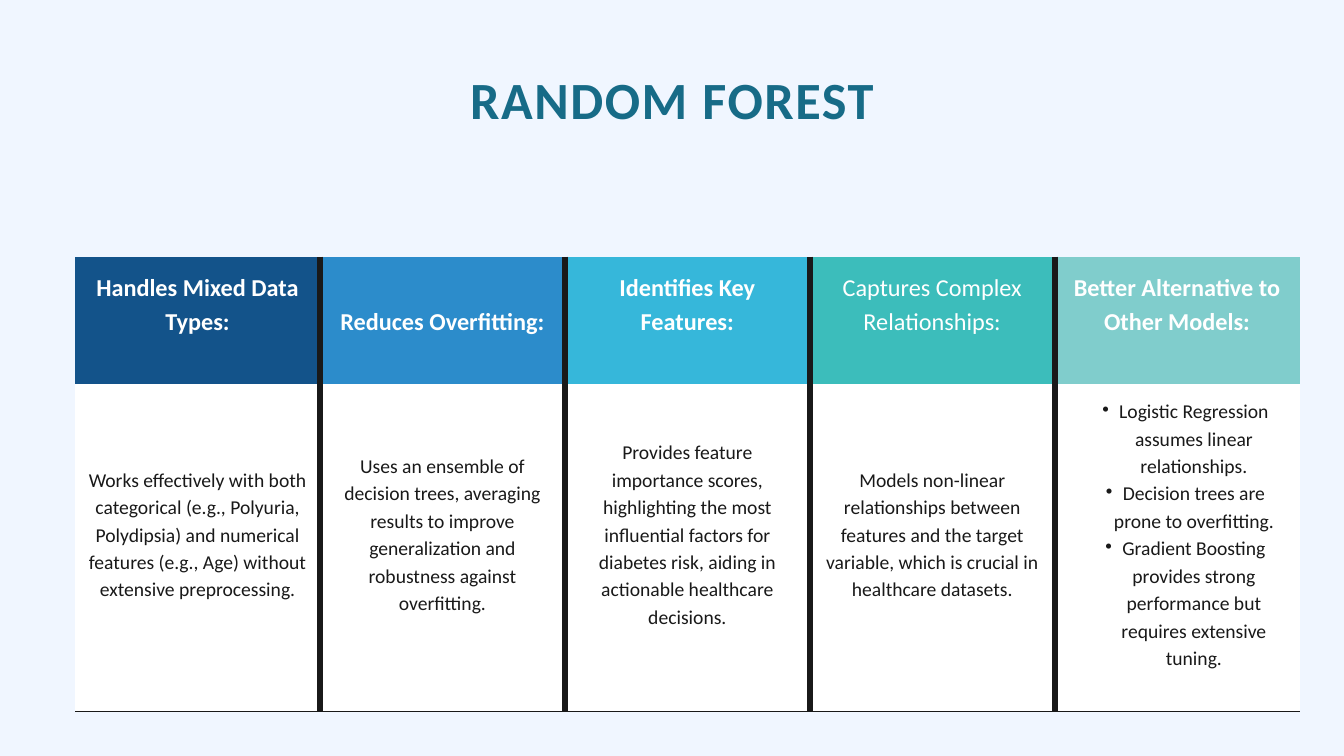
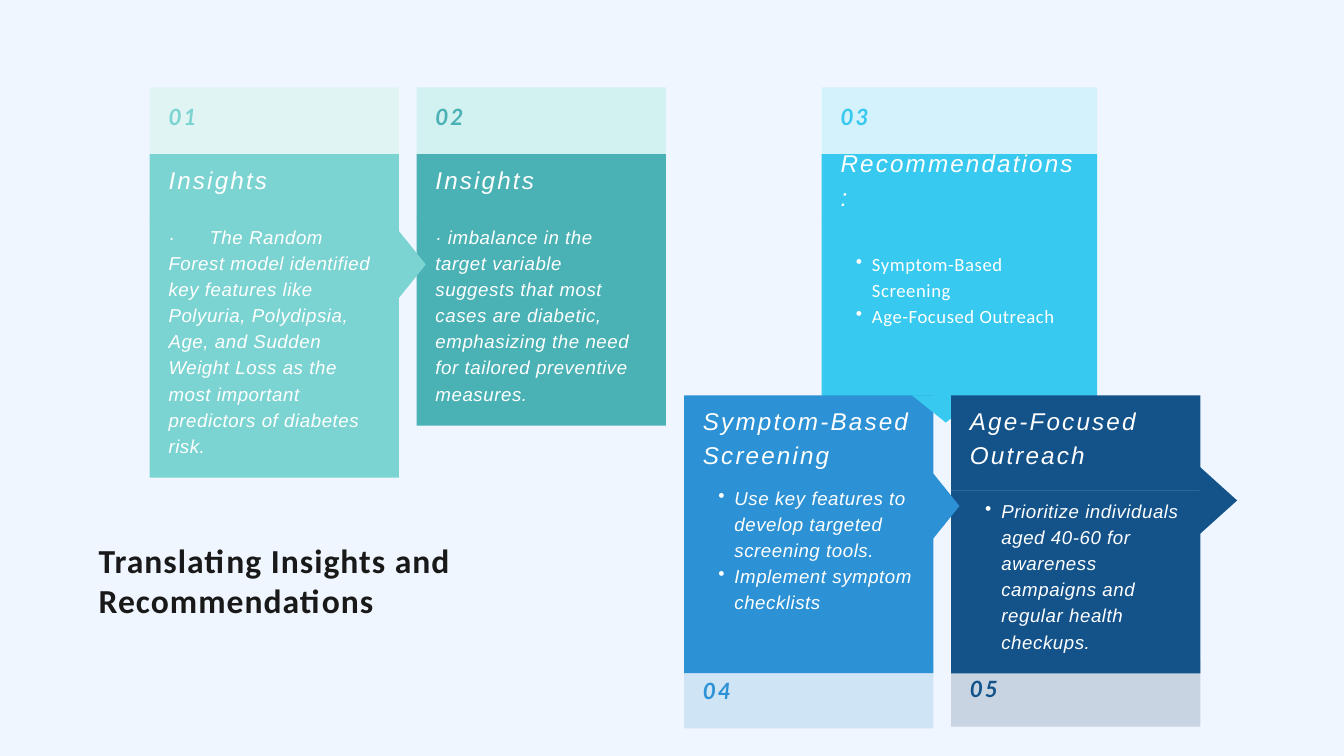
from dataclasses import dataclass, replace

from lxml import etree
from pptx import Presentation
from pptx.dml.color import RGBColor
from pptx.enum.shapes import MSO_SHAPE
from pptx.enum.text import MSO_ANCHOR, PP_ALIGN
from pptx.oxml.ns import qn
from pptx.util import Cm, Pt

RECT, WEDGE = MSO_SHAPE.RECTANGLE, MSO_SHAPE.ISOSCELES_TRIANGLE
TOP, MID, LOW = MSO_ANCHOR.TOP, MSO_ANCHOR.MIDDLE, MSO_ANCHOR.BOTTOM
LEFT, MIDDLE = PP_ALIGN.LEFT, PP_ALIGN.CENTER

PAPER, INK, WHITE, TEAL = "F0F6FF", "191919", "FFFFFF", "176B87"
MINT, SEA, SKY, BLUE, NAVY = "7CD4D2", "4AB1B4", "37C9EF", "2C92D5", "13538A"
PAD = 0.71
CELL_PAD = 0.48
CARD_W, STEP = 9.42, 10.09


@dataclass
class Look:
    """Type style of a paragraph."""
    size: float
    font: str
    color: str
    lead: float
    bold: bool = False
    italic: bool = False
    track: float = 0
    align: int = LEFT


TITLE = Look(56, "Calibri", TEAL, 72.8, bold=True, track=1.7, align=MIDDLE)
CLAIM = Look(36, "Calibri", INK, 43.2, bold=True, track=1.1)
HEAD = Look(26, "Calibri", WHITE, 36.4, bold=True, align=MIDDLE)
CELL = Look(21, "Calibri", INK, 29.4, align=MIDDLE)
NAME = Look(26, "Arial", WHITE, 36.4, italic=True, track=2.3)
NUM = Look(24, "Lato", WHITE, 33.6, bold=True, italic=True, track=2.2)
BODY = Look(20, "Arial", WHITE, 28, italic=True, track=0.6)
PLAIN = replace(BODY, font="Calibri", italic=False)


def rgb(code):
    """Turn a hex string into a colour."""
    return RGBColor.from_string(code)


def add_dot(para, hang):
    """Give a paragraph a hanging bullet; hang is (margin, indent) in cm."""
    para.level = 1
    props = para._p.get_or_add_pPr()
    props.set("marL", str(Cm(hang[0])))
    props.set("indent", str(Cm(hang[1])))
    etree.SubElement(props, qn("a:buChar")).set("char", "•")


def add_tab(para, stop):
    """Set one left tab stop in cm."""
    tabs = etree.SubElement(para._p.get_or_add_pPr(), qn("a:tabLst"))
    etree.SubElement(tabs, qn("a:tab"), pos=str(Cm(stop)), algn="l")


def write(frame, lines, look, hang=None):
    """Fill a text frame with styled paragraphs."""
    frame.text = "\n".join(lines)
    for para in frame.paragraphs:
        if hang:
            add_dot(para, hang)
        if "\t" in para.text:
            add_tab(para, 1.55)
        para.alignment = look.align
        para.line_spacing = Pt(look.lead)
        for run in para.runs:
            font = run.font
            font.size, font.name = Pt(look.size), look.font
            font.bold, font.italic = look.bold, look.italic
            font.color.rgb = rgb(look.color)
            if look.track:
                run._r.get_or_add_rPr().set("spc", str(round(look.track * 100)))


def inset(item, pad, top, low):
    """Set the margins of a frame or cell in cm."""
    item.margin_left = item.margin_right = Cm(pad)
    item.margin_top, item.margin_bottom = Cm(top), Cm(low)


def add_text(slide, box, line, look):
    """Place a text box without margins."""
    frame = slide.shapes.add_textbox(*map(Cm, box)).text_frame
    frame.word_wrap = True
    inset(frame, 0, 0, 0)
    write(frame, [line], look)


def add_form(slide, kind, box, color):
    """Place a flat filled shape."""
    shape = slide.shapes.add_shape(kind, *map(Cm, box))
    shape.shadow.inherit = False
    shape.fill.solid()
    shape.fill.fore_color.rgb = rgb(color)
    shape.line.fill.background()
    return shape


def add_band(slide, box, color, lines, look, top, anchor=MID, hang=None):
    """Place a filled band with text."""
    frame = add_form(slide, RECT, box, color).text_frame
    frame.word_wrap = True
    frame.vertical_anchor = anchor
    inset(frame, PAD, top, PAD)
    write(frame, lines, look, hang)


def add_card(slide, box, spans, tag, tint, color, name, lines,
             look=BODY, hang=(1.19, -0.61), drop=0):
    """Place a card; spans hold (offset, height) of name, number and body."""
    x, y, wide = box
    boxes = [(x, y + off, wide, high) for off, high in spans]
    add_band(slide, boxes[0], color, [name], NAME, 0.13)
    add_band(slide, boxes[1], tint, [tag], replace(NUM, color=color), 0.21)
    add_band(slide, boxes[2], color, lines, look, 0.21 + drop, TOP, hang)


def add_wedge(slide, mid, high, turn, color):
    """Place a pointer centred on mid."""
    wide = 2.56
    box = (mid[0] - wide / 2, mid[1] - high / 2, wide, high)
    add_form(slide, WEDGE, box, color).rotation = turn


def rule_cell(cell, sides):
    """Draw cell borders; sides are widths for left, right, top, bottom."""
    props = cell._tc.get_or_add_tcPr()
    for spot, (side, width) in enumerate(zip("LRTB", sides)):
        line = etree.Element(qn(f"a:ln{side}"), w=str(Pt(width)))
        if width:
            fill = etree.SubElement(line, qn("a:solidFill"))
            etree.SubElement(fill, qn("a:srgbClr"), val=INK)
        else:
            etree.SubElement(line, qn("a:noFill"))
        props.insert(spot, line)


def add_grid(slide, box, cols, heights):
    """Place the table; cols hold (colour, bold, head, lines)."""
    grid = slide.shapes.add_table(2, len(cols), *map(Cm, box)).table
    for row, high in zip(grid.rows, heights):
        row.height = Cm(high)
    last = len(cols) - 1
    for col, (color, bold, head, lines) in enumerate(cols):
        grid.columns[col].width = Cm(box[2] / len(cols))
        hang = (1.27, -0.64) if len(lines) > 1 else None
        parts = [(color, LOW, 1.76, [head], replace(HEAD, bold=bold), None, 0),
                 (WHITE, MID, 1.52, lines, CELL, hang, 0.75)]
        for row, (fill, anchor, low, text, look, dots, base) in enumerate(parts):
            cell = grid.cell(row, col)
            cell.fill.solid()
            cell.fill.fore_color.rgb = rgb(fill)
            cell.vertical_anchor = anchor
            inset(cell, CELL_PAD, CELL_PAD, low)
            write(cell.text_frame, text, look, dots)
            rule_cell(cell, (7.5 if col else 0, 7.5 if col < last else 0, 0, base))


def new_slide(deck):
    """Add a blank slide with the shared background."""
    slide = deck.slides.add_slide(deck.slide_layouts[6])
    slide.background.fill.solid()
    slide.background.fill.fore_color.rgb = rgb(PAPER)
    return slide


def forest(deck):
    """Build the table slide."""
    slide = new_slide(deck)
    add_text(slide, (6.81, 2.36, 37.19, 2.49), "RANDOM FOREST", TITLE)
    cols = [
        (NAVY, True, "Handles Mixed Data Types:",
         ["Works effectively with both categorical (e.g., Polyuria, Polydipsia) "
          "and numerical features (e.g., Age) without extensive preprocessing."]),
        ("2C8CCB", True, "Reduces Overfitting:",
         ["Uses an ensemble of decision trees, averaging results to improve "
          "generalization and robustness against overfitting."]),
        ("36B7DA", True, "Identifies Key Features:",
         ["Provides feature importance scores, highlighting the most influential "
          "factors for diabetes risk, aiding in actionable healthcare decisions."]),
        ("3CBDBB", False, "Captures Complex Relationships:",
         ["Models non-linear relationships between features and the target "
          "variable, which is crucial in healthcare datasets."]),
        ("80CDCC", True, "Better Alternative to Other Models:",
         ["Logistic Regression assumes linear relationships.",
          "Decision trees are prone to overfitting.",
          "Gradient Boosting provides strong performance but requires "
          "extensive tuning."]),
    ]
    add_grid(slide, (2.84, 9.7, 46.28, 17.12), cols, (4.78, 12.34))


def advice(deck):
    """Build the card slide."""
    slide = new_slide(deck)
    left, right, top, low = 5.66, 25.86, 3.3, 14.95
    upper = [(2.51, 2.39), (0, 2.52)]
    lower = [(0, 3.6)]
    add_card(slide, (left, top, CARD_W), upper + [(4.88, 9.88)],
             "01", "E0F4F4", MINT, "Insights",
             ["·\tThe Random Forest model identified key features like Polyuria, "
              "Polydipsia, Age, and Sudden Weight Loss as the most important "
              "predictors of diabetes risk."], hang=None)
    add_card(slide, (left + STEP, top, CARD_W), upper + [(4.88, 7.91)],
             "02", "D2F1F1", SEA, "Insights",
             ["· imbalance in the target variable suggests that most cases are "
              "diabetic, emphasizing the need for tailored preventive measures."],
             hang=None)
    add_wedge(slide, (15.58, 10), 1.03, 90, MINT)
    add_card(slide, (31.06, top, 10.41), upper + [(4.9, 6.94)],
             "03", "D3F2FB", SKY, "Recommendations:",
             ["Symptom-Based Screening", "Age-Focused Outreach"],
             look=PLAIN, drop=0.99)
    add_card(slide, (right, low, CARD_W), lower + [(10.07, 2.52), (3.1, 7.4)],
             "04", "CFE4F5", BLUE, "Symptom-Based Screening",
             ["Use key features to develop targeted screening tools.",
              "Implement symptom checklists"])
    add_wedge(slide, (35.75, 15.46), 1.03, 180, SKY)
    add_card(slide, (right + STEP, low, CARD_W), lower + [(10, 2.52), (3.59, 6.92)],
             "05", "C8D4E2", NAVY, "Age-Focused Outreach",
             ["Prioritize individuals aged 40-60 for awareness campaigns and "
              "regular health checkups."])
    add_wedge(slide, (35.75, 19.13), 1.03, 90, BLUE)
    add_wedge(slide, (46.05, 18.92), 1.42, 90, NAVY)
    add_text(slide, (3.73, 20.4, 16.13, 4.55),
             "Translating Insights and Recommendations", CLAIM)


def main():
    """Build and save the deck."""
    deck = Presentation()
    deck.slide_width, deck.slide_height = Cm(50.8), Cm(28.58)
    forest(deck)
    advice(deck)
    deck.save("out.pptx")


if __name__ == "__main__":
    main()
